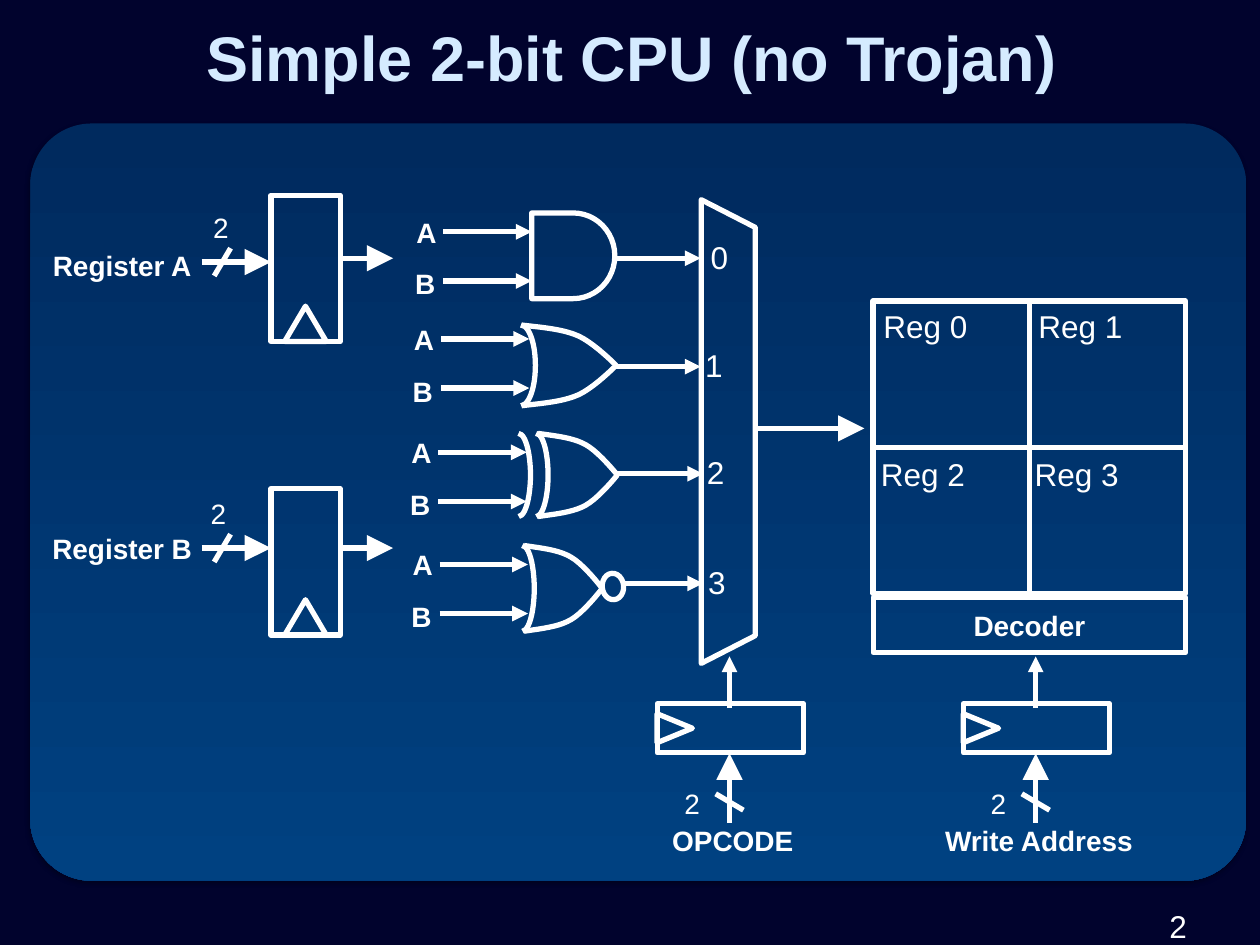
from lxml import etree
from pptx import Presentation
from pptx.dml.color import RGBColor
from pptx.enum.shapes import MSO_CONNECTOR, MSO_SHAPE as SHAPE
from pptx.enum.text import MSO_ANCHOR as ANCHOR, PP_ALIGN as ALIGN
from pptx.oxml import parse_xml
from pptx.oxml.ns import nsdecls, qn
from pptx.util import Inches, Pt

# Content
TITLE = "Simple 2-bit CPU (no Trojan)"
PAGE_NUMBER = "2"
COLORS = {"background": "01032D", "panel_top": "002A5E",
          "panel_bottom": "004181", "title": "D5EBFF", "white": "FFFFFF"}

# Heights of the box, input, output, bus width and name, per register
REGISTERS = [
    dict(name="Register A", top=1.55, input=2.08, output=2.05,
         width_at=(0.67, 1.62), name_at=(0.25, 1.92, 1.44)),
    dict(name="Register B", top=3.88, input=4.35, output=4.35,
         width_at=(0.65, 3.89), name_at=(0.20, 4.17, 1.54)),
]
# wire: start of input A; output: from x, to x, y; digit: left, width
# body: left, top, width, half height; backs: left and width of each arc
GATES = [
    dict(wire=(3.52, 1.84), output=(4.86, 5.56, 2.05), digit=(4.63, 2.23)),
    dict(wire=(3.50, 2.69), output=(4.89, 5.56, 2.91), digit=(5.43, 0.54),
         body=(4.14, 2.58, 0.75, 0.32), backs=[(4.02, 0.23)]),
    dict(wire=(3.48, 3.59), output=(4.88, 5.58, 3.76), digit=(4.60, 2.23),
         body=(4.27, 3.44, 0.63, 0.33), backs=[(4.16, 0.19), (4.02, 0.19)]),
    dict(wire=(3.49, 4.48), output=(4.96, 5.58, 4.63), digit=(4.61, 2.23),
         body=(4.16, 4.33, 0.62, 0.34), backs=[(4.05, 0.19)]),
]
# Two curves, as shares of the body's width and half height
GATE_CURVES = [
    [(0, 0), (0.22, 0.06), (0.44, 0.1), (0.6, 0.27)],
    [(0.6, 0.27), (0.77, 0.45), (1, 1), (1, 1)],
]
MEMORY = [("Reg 0", 6.89, 2.39), ("Reg 1", 8.12, 2.39),
          ("Reg 2", 6.87, 3.56), ("Reg 3", 8.09, 3.56)]
CELL_WIDTH, CELL_HEIGHT = 1.24, 1.16
CONTROLS = [("OPCODE", 5.79), ("Write Address", 8.22)]

presentation = Presentation()
presentation.slide_width, presentation.slide_height = Inches(10), Inches(7.5)
slide = presentation.slides.add_slide(presentation.slide_layouts[5])
shapes = slide.shapes


def color(name):
    return RGBColor.from_string(COLORS[name])


def box(*lengths):
    return [Inches(length) for length in lengths]


def write(frame, text, size, bold=False, name="white", align=ALIGN.CENTER):
    frame.text = text
    frame.word_wrap = True
    paragraph = frame.paragraphs[0]
    paragraph.alignment = align
    font = paragraph.font
    font.name, font.size, font.bold = "Arial", Pt(size), bold
    font.color.rgb = color(name)


def label(text, left, top, width, height=0.5, size=16, bold=True, **options):
    text_box = shapes.add_textbox(*box(left, top, width, height))
    write(text_box.text_frame, text, size, bold, **options)
    return text_box


def style_outline(shape):
    shape.shadow.inherit = False
    shape.fill.background()
    shape.line.color.rgb = color("white")
    shape.line.width = Pt(3)


def outline(kind, left, top, width, height, rotation=0, adjust=None):
    shape = shapes.add_shape(kind, *box(left, top, width, height))
    style_outline(shape)
    shape.rotation = rotation
    for index, value in (adjust or {}).items():
        shape.adjustments[index] = value
    return shape


def wire(x1, y1, x2, y2, head=None):
    connector = shapes.add_connector(MSO_CONNECTOR.STRAIGHT, *box(x1, y1, x2, y2))
    connector.line.color.rgb = color("white")
    connector.line.width = Pt(3)
    properties = connector.element.find(qn("p:spPr"))
    if head:
        etree.SubElement(properties.find(qn("a:ln")), qn("a:tailEnd"),
                         type="triangle", w=head, len=head)
    etree.SubElement(properties, qn("a:effectLst"))


def bezier(points, t):
    weights = ((1 - t) ** 3, 3 * t * (1 - t) ** 2, 3 * t ** 2 * (1 - t), t ** 3)
    return [sum(w * point[axis] for w, point in zip(weights, points))
            for axis in (0, 1)]


def gate_edge(left, start, width, rise):
    shares = [bezier(curve, step / 10) for curve in GATE_CURVES for step in range(11)]
    points = [box(left + x * width, start + y * rise) for x, y in shares]
    builder = shapes.build_freeform(*points[0])
    builder.add_line_segments(points[1:], close=False)
    style_outline(builder.convert_to_shape())


# Background, title and page number
slide.background.fill.solid()
slide.background.fill.fore_color.rgb = color("background")
title = shapes.title
title.left, title.top, title.width, title.height = box(0.11, 0.09, 9.81, 0.71)
write(title.text_frame, TITLE, 36, True, "title")
title.text_frame.vertical_anchor = ANCHOR.MIDDLE
page = label(PAGE_NUMBER, 8.18, 7.15, 1.82, 0.35, 18, False, align=ALIGN.LEFT)
page.text_frame.margin_left = Inches(1.1)

# Panel
panel = shapes.add_shape(SHAPE.ROUNDED_RECTANGLE, *box(0.24, 0.98, 9.65, 6.01))
panel.adjustments[0] = 0.081
panel.line.fill.background()
panel.fill.gradient()
panel.fill.gradient_angle = 270
for stop, name, position in zip(panel.fill.gradient_stops,
                                ("panel_top", "panel_bottom"), (0, 1)):
    stop.color.rgb = color(name)
    stop.position = position
panel.element.find(qn("p:spPr")).append(parse_xml(
    f'<a:effectLst {nsdecls("a")}><a:outerShdw blurRad="{Pt(3.1)}" '
    f'dist="{Pt(1.8)}" dir="5400000" rotWithShape="0"><a:srgbClr val="000000">'
    '<a:alpha val="35000"/></a:srgbClr></a:outerShdw></a:effectLst>'))

# Input registers
for register in REGISTERS:
    top, y = register["top"], register["input"]
    outline(SHAPE.RECTANGLE, 2.15, top, 0.55, 1.16)
    outline(SHAPE.ISOSCELES_TRIANGLE, 2.26, top + 0.88, 0.33, 0.28)
    wire(1.6, y, 2.15, y, "lg")
    wire(1.7, y + 0.11, 1.83, y - 0.11)
    wire(2.72, register["output"], 3.12, register["output"], "lg")
    label("2 ", *register["width_at"], 2.23, 0.37, bold=False)
    label(register["name"], *register["name_at"])

# Multiplexer
outline(SHAPE.TRAPEZOID, 3.94, 3.21, 3.68, 0.43, 90, {0: 0.512})
wire(5.99, 3.4, 6.86, 3.4, "lg")

# Gates with their inputs and outputs
outline(SHAPE.FLOWCHART_DELAY, 4.22, 1.69, 0.66, 0.68)
outline(SHAPE.OVAL, 4.78, 4.55, 0.17, 0.21, 354.6)
for number, gate in enumerate(GATES):
    x, y = gate["wire"]
    for row, name in enumerate("AB"):
        input_y = y + row * 0.39
        wire(x, input_y, x + 0.7, input_y, "med")
        label(name, x - 0.77 - row * 0.01, y - 0.18 + row * 0.41, 1.27)
    start, end, output_y = gate["output"]
    wire(start, output_y, end, output_y, "med")
    digit_left, digit_width = gate["digit"]
    label(f"{number} ", digit_left, output_y - 0.21, digit_width, 0.4, 18, False)
    if "body" in gate:
        left, top, width, half = gate["body"]
        gate_edge(left, top, width, half)
        gate_edge(left, top + 2 * half, width, -half)
        for back_left, back_width in gate["backs"]:
            outline(SHAPE.ARC, back_left, top, back_width, 2 * half,
                    adjust={0: 162, 1: 53.754})

# Register file and decoder
for index, (name, left, top) in enumerate(MEMORY):
    row, column = divmod(index, 2)
    outline(SHAPE.RECTANGLE, 6.93 + column * CELL_WIDTH, 2.39 + row * CELL_HEIGHT,
            CELL_WIDTH, CELL_HEIGHT)
    label(name, left, top, 0.91, 0.4, 18, False)
decoder = outline(SHAPE.RECTANGLE, 6.93, 4.74, 2 * CELL_WIDTH, 0.44)
write(decoder.text_frame, "Decoder", 16, True)
decoder.text_frame.vertical_anchor = ANCHOR.MIDDLE

# Control registers
for name, x in CONTROLS:
    outline(SHAPE.RECTANGLE, x - 0.19, 5.2, 0.39, 1.16, 90)
    outline(SHAPE.ISOSCELES_TRIANGLE, x - 0.55, 5.64, 0.23, 0.28, 90)
    wire(x, 6.53, x, 5.98, "lg")
    wire(x + 0.11, 6.43, x - 0.11, 6.3)
    wire(x, 5.62, x, 5.21, "med")
    label("2 ", x - 1.38, 6.19, 2.23, 0.37, bold=False)
    label(name, x - 1, 6.49, 2.05)

presentation.save("out.pptx")
